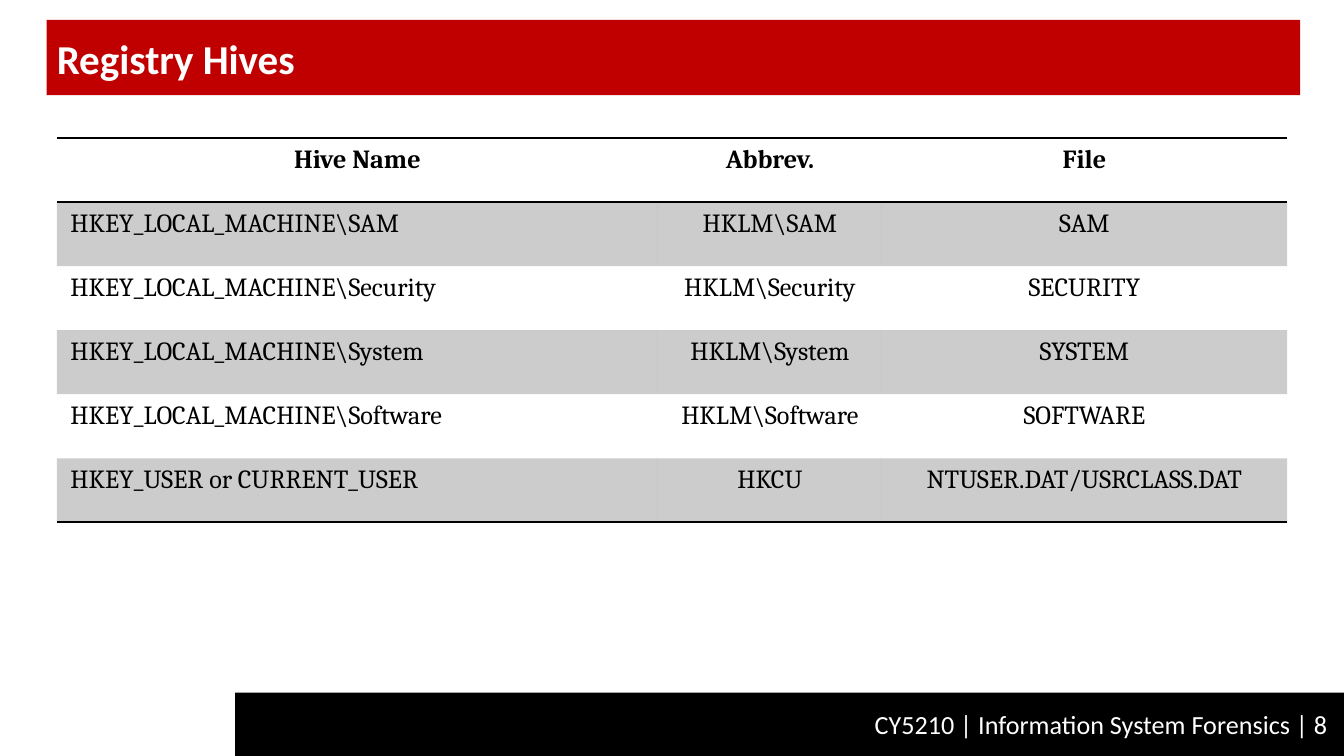
from lxml import etree
from pptx import Presentation
from pptx import util as u
from pptx.dml import color
from pptx.enum import shapes, text
from pptx.oxml import ns

BLACK, WHITE, RED = "000000", "FFFFFF", "C00000"
NO_STYLE_NO_GRID = "{2D5ABB26-0587-4C30-8999-92F81FD0307C}"
LEFT, CENTER, RIGHT = text.PP_ALIGN.LEFT, text.PP_ALIGN.CENTER, text.PP_ALIGN.RIGHT

HIVES = [
    ("Hive Name", "Abbrev.", "File"),
    ("HKEY_LOCAL_MACHINE\\SAM", "HKLM\\SAM", "SAM"),
    ("HKEY_LOCAL_MACHINE\\Security", "HKLM\\Security", "SECURITY"),
    ("HKEY_LOCAL_MACHINE\\System", "HKLM\\System", "SYSTEM"),
    ("HKEY_LOCAL_MACHINE\\Software", "HKLM\\Software", "SOFTWARE"),
    ("HKEY_USER or CURRENT_USER", "HKCU", "NTUSER.DAT/USRCLASS.DAT"),
]


def rgb(value):
    return color.RGBColor.from_string(value)


class SlideBuilder:
    """Holds the style and the current slide; lengths are in points."""

    heading_font = "Calibri"
    table_font = "Cambria"
    body_size = 14
    title_size = 22
    band_opacity = 20

    def __init__(self, slide):
        self.slide = slide

    def set_text(self, frame, words, font, size, colour, align, bold=False):
        frame.text = words
        paragraph = frame.paragraphs[0]
        paragraph.alignment = align
        for run in paragraph.runs:
            run.font.name = font
            run.font.size = u.Pt(size)
            run.font.bold = bold
            run.font.color.rgb = rgb(colour)
        return paragraph

    def set_frame(self, frame, left, top, right, bottom):
        frame.word_wrap = True
        frame.auto_size = text.MSO_AUTO_SIZE.NONE
        frame.vertical_anchor = text.MSO_ANCHOR.MIDDLE
        frame.margin_left, frame.margin_top = u.Pt(left), u.Pt(top)
        frame.margin_right, frame.margin_bottom = u.Pt(right), u.Pt(bottom)

    def title(self, words, left, top, width, height):
        shape = self.slide.shapes.title
        shape.left, shape.top = u.Pt(left), u.Pt(top)
        shape.width, shape.height = u.Pt(width), u.Pt(height)
        shape.fill.solid()
        shape.fill.fore_color.rgb = rgb(RED)
        self.set_frame(shape.text_frame, 5.4, 3.6, 5.4, 0)
        paragraph = self.set_text(shape.text_frame, words, self.heading_font,
                                  self.title_size, WHITE, LEFT, bold=True)
        paragraph.line_spacing = 0.9

    def footer(self, words, left, top, width, height):
        shape = self.slide.shapes.add_shape(
            shapes.MSO_SHAPE.RECTANGLE,
            u.Pt(left), u.Pt(top), u.Pt(width), u.Pt(height))
        shape.shadow.inherit = False
        shape.fill.solid()
        shape.fill.fore_color.rgb = rgb(BLACK)
        shape.line.fill.background()
        self.set_frame(shape.text_frame, 5.4, 2.7, 5.4, 2.7)
        self.set_text(shape.text_frame, words, self.heading_font,
                      self.body_size, WHITE, RIGHT)

    def border(self, cell, side):
        properties = cell._tc.get_or_add_tcPr()
        line = etree.SubElement(properties, ns.qn("a:" + side), w=str(u.Pt(1)))
        fill = etree.SubElement(line, ns.qn("a:solidFill"))
        etree.SubElement(fill, ns.qn("a:srgbClr"), val=BLACK)

    def band(self, cell):
        cell.fill.solid()
        cell.fill.fore_color.rgb = rgb(BLACK)
        # The cell's own fill follows any border in its properties
        tone = cell._tc.tcPr.find(ns.qn("a:solidFill") + "/" + ns.qn("a:srgbClr"))
        etree.SubElement(tone, ns.qn("a:alpha"), val=str(self.band_opacity * 1000))

    def table(self, rows, left, top, widths, row_height):
        frame = self.slide.shapes.add_table(
            len(rows), len(widths), u.Pt(left), u.Pt(top),
            u.Pt(sum(widths)), u.Pt(row_height * len(rows)))
        table = frame.table
        table.first_row = table.horz_banding = False
        style = table._tbl.tblPr.find(ns.qn("a:tableStyleId"))
        style.text = NO_STYLE_NO_GRID
        for column, width in zip(table.columns, widths):
            column.width = u.Pt(width)
        for i, row in enumerate(rows):
            table.rows[i].height = u.Pt(row_height)
            header = i == 0
            for j, words in enumerate(row):
                cell = table.cell(i, j)
                align = CENTER if header or j > 0 else LEFT
                self.set_text(cell.text_frame, words, self.table_font,
                              self.body_size, BLACK, align, bold=header)
                # Rules above and below the header and under the last row
                if header:
                    self.border(cell, "lnT")
                if header or i == len(rows) - 1:
                    self.border(cell, "lnB")
                # Every second row is shaded
                if i % 2:
                    self.band(cell)
                else:
                    cell.fill.background()


def main():
    presentation = Presentation()
    presentation.slide_width, presentation.slide_height = u.Pt(720), u.Pt(405)
    title_only = presentation.slide_layouts[5]
    builder = SlideBuilder(presentation.slides.add_slide(title_only))

    # Footer bar
    builder.footer("CY5210 | Information System Forensics | 8 ", 126, 371, 594, 34)
    # Title bar
    builder.title("Registry Hives", 25, 10.7, 671.5, 40.3)
    # Registry hive table
    builder.table(HIVES, 30.5, 74, (322, 120, 217), 34.3)

    presentation.save("out.pptx")


if __name__ == "__main__":
    main()
